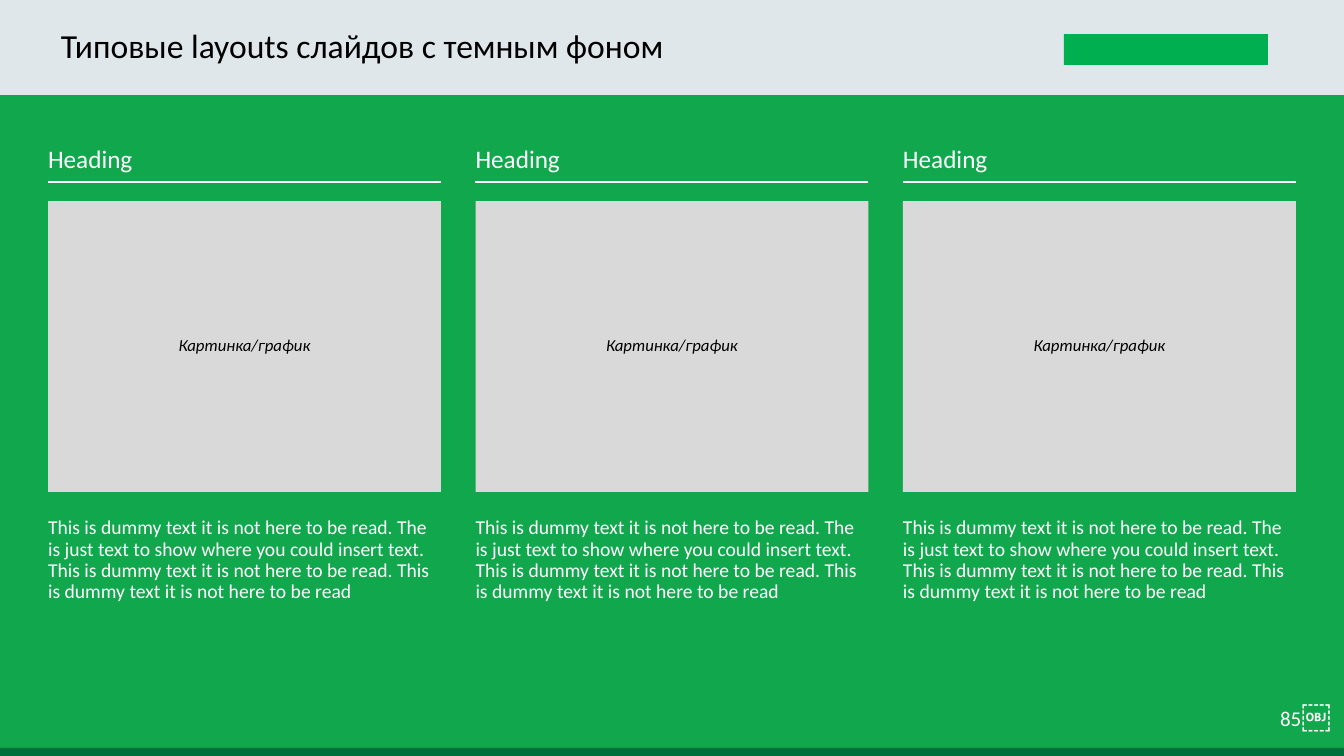
from lxml import etree
from pptx import Presentation
from pptx import util as u
from pptx.dml.color import RGBColor
from pptx.enum import shapes, text
from pptx.oxml.ns import qn

EMU_PER_PX = 914400 / 100.8
SLIDE_W, SLIDE_H = 1344, 756
COLORS = {
    "background": "11A74C",
    "header": "E0E7EA",
    "strip": "006F3C",
    "logo": "00B050",
    "picture": "D9D9D9",
    "light": "FFFFFF",
    "dark": "000000",
}
FORMATS = {
    "title": {"size": u.Pt(24), "name": "Calibri", "color": "dark"},
    "heading": {"size": u.Pt(18), "name": "Calibri", "color": "light"},
    "picture": {"size": u.Pt(12), "name": "Calibri", "color": "dark", "italic": True},
    "body": {"size": u.Pt(14), "name": "Calibri", "color": "light"},
    "number": {"size": u.Pt(15), "name": "Calibri", "color": "light"},
    "object": {"size": u.Pt(21), "name": "Cabin", "color": "light"},
}
COLUMN_COUNT = 3
COLUMN_W = 393
DUMMY = (
    "This is dummy text it is not here to be read. "
    "The is just text to show where you could insert text. "
    "This is dummy text it is not here to be read. "
    "This is dummy text it is not here to be read"
)


def px(*lengths):
    return [u.Emu(round(length * EMU_PER_PX)) for length in lengths]


def color(name):
    return RGBColor.from_string(COLORS[name])


def add_run(paragraph, words, style):
    run = paragraph.add_run()
    run.text = words
    for key, value in FORMATS[style].items():
        if key == "color":
            run.font.color.rgb = color(value)
        else:
            setattr(run.font, key, value)


def write(shape, runs, margins, align=text.PP_ALIGN.LEFT,
          anchor=text.MSO_ANCHOR.TOP, spacing=None):
    """Fill a shape with one paragraph of (words, style) runs; margins are left, top, right, bottom."""
    frame = shape.text_frame
    left, top, right, bottom = px(*margins)
    settings = {
        "word_wrap": True,
        "auto_size": text.MSO_AUTO_SIZE.NONE,
        "vertical_anchor": anchor,
        "margin_left": left,
        "margin_top": top,
        "margin_right": right,
        "margin_bottom": bottom,
    }
    for key, value in settings.items():
        setattr(frame, key, value)
    paragraph = frame.paragraphs[0]
    paragraph.alignment = align
    paragraph.line_spacing = spacing
    for words, style in runs:
        add_run(paragraph, words, style)


def add_block(slide, box, fill):
    block = slide.shapes.add_shape(shapes.MSO_SHAPE.RECTANGLE, *px(*box))
    block.shadow.inherit = False
    block.fill.solid()
    block.fill.fore_color.rgb = color(fill)
    block.line.fill.background()
    return block


def add_rule(slide, left, right, y):
    rule = slide.shapes.add_connector(
        shapes.MSO_CONNECTOR.STRAIGHT, *px(left, y, right, y))
    rule.line.color.rgb = color("light")
    rule.line.width = u.Pt(1)
    etree.SubElement(rule.element.spPr, qn("a:effectLst"))


def add_header(slide, box):
    left, top, width, height = box
    add_block(slide, box, "header")
    add_block(slide, (left + width - 280, top + 34, 204, 31), "logo")
    title = slide.shapes.title
    title.left, title.top, title.width, title.height = px(
        left + 45, top, 1013, height)
    write(title, [("Типовые layouts слайдов с темным фоном", "title")],
          (16, 5, 10, 5), anchor=text.MSO_ANCHOR.MIDDLE, spacing=0.9)
    # The title placeholder has to lie in front of the header band.
    title.element.getparent().append(title.element)


def add_column(slide, box):
    left, top, width, height = box
    margins = (0, 5, 10, 5)
    heading = slide.shapes.add_textbox(*px(left, top, width, 40))
    write(heading, [("Heading", "heading")], margins)
    add_rule(slide, left, left + width, top + 44)
    picture = add_block(slide, (left, top + 63, width, 291), "picture")
    write(picture, [("Картинка/график", "picture")], (10, 5, 10, 5),
          text.PP_ALIGN.CENTER, text.MSO_ANCHOR.MIDDLE, 0.9)
    body = slide.shapes.add_textbox(*px(left, top + 375, width, height - 375))
    write(body, [(DUMMY, "body")], margins, spacing=0.9)


def add_columns(slide, box):
    left, top, width, height = box
    pitch = (width - COLUMN_W) / (COLUMN_COUNT - 1)
    for index in range(COLUMN_COUNT):
        add_column(slide, (left + index * pitch, top, COLUMN_W, height))


def add_footer(slide, box):
    left, top, width, height = box
    add_block(slide, (left, top + height - 8, width, 8), "strip")
    number = slide.shapes.add_textbox(*px(left + width - 77, top, 77, 35))
    write(number, [("85", "number"), ("￼", "object")], (0, 0, 0, 0),
          text.PP_ALIGN.CENTER, text.MSO_ANCHOR.MIDDLE)


def main():
    deck = Presentation()
    deck.slide_width, deck.slide_height = px(SLIDE_W, SLIDE_H)
    slide = deck.slides.add_slide(deck.slide_layouts.get_by_name("Title Only"))
    slide.background.fill.solid()
    slide.background.fill.fore_color.rgb = color("background")
    add_header(slide, (0, 0, SLIDE_W, 95))
    add_columns(slide, (48, 138, SLIDE_W - 2 * 48, 516))
    add_footer(slide, (0, 697, SLIDE_W, SLIDE_H - 697))
    deck.save("out.pptx")


if __name__ == "__main__":
    main()
